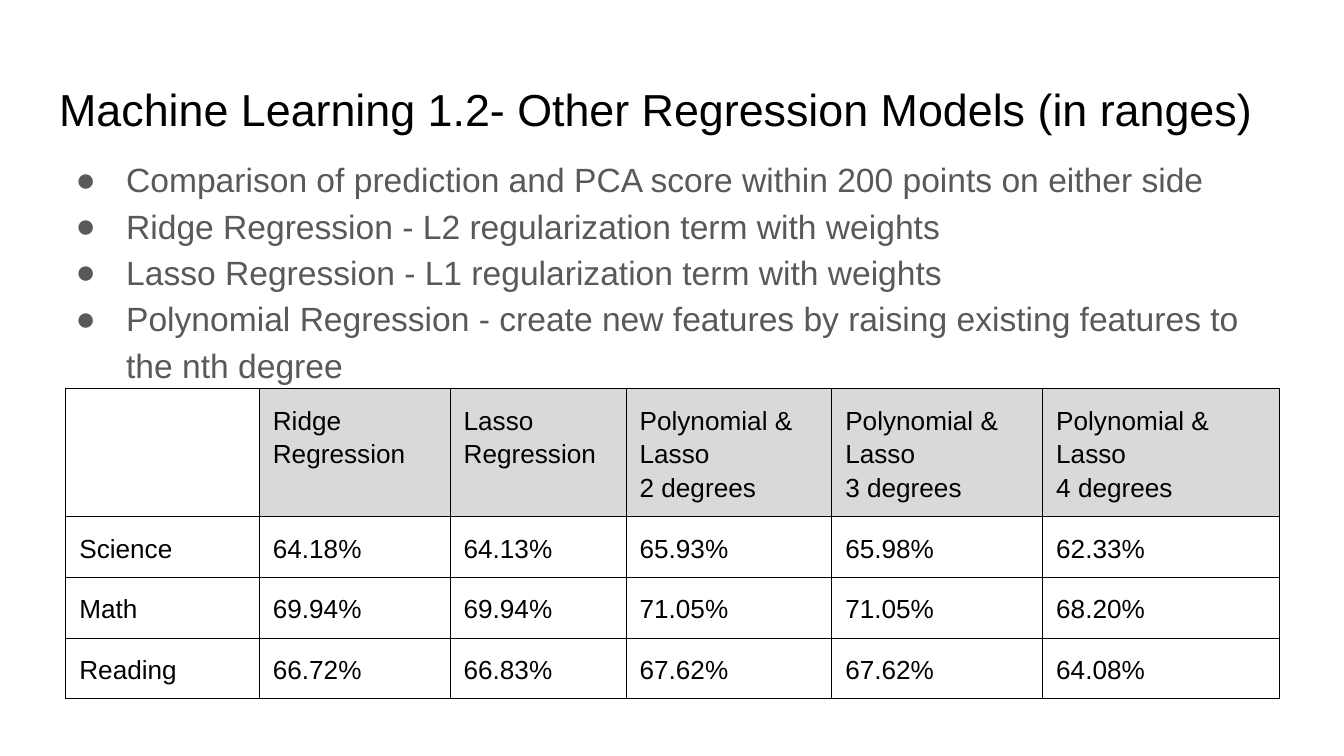
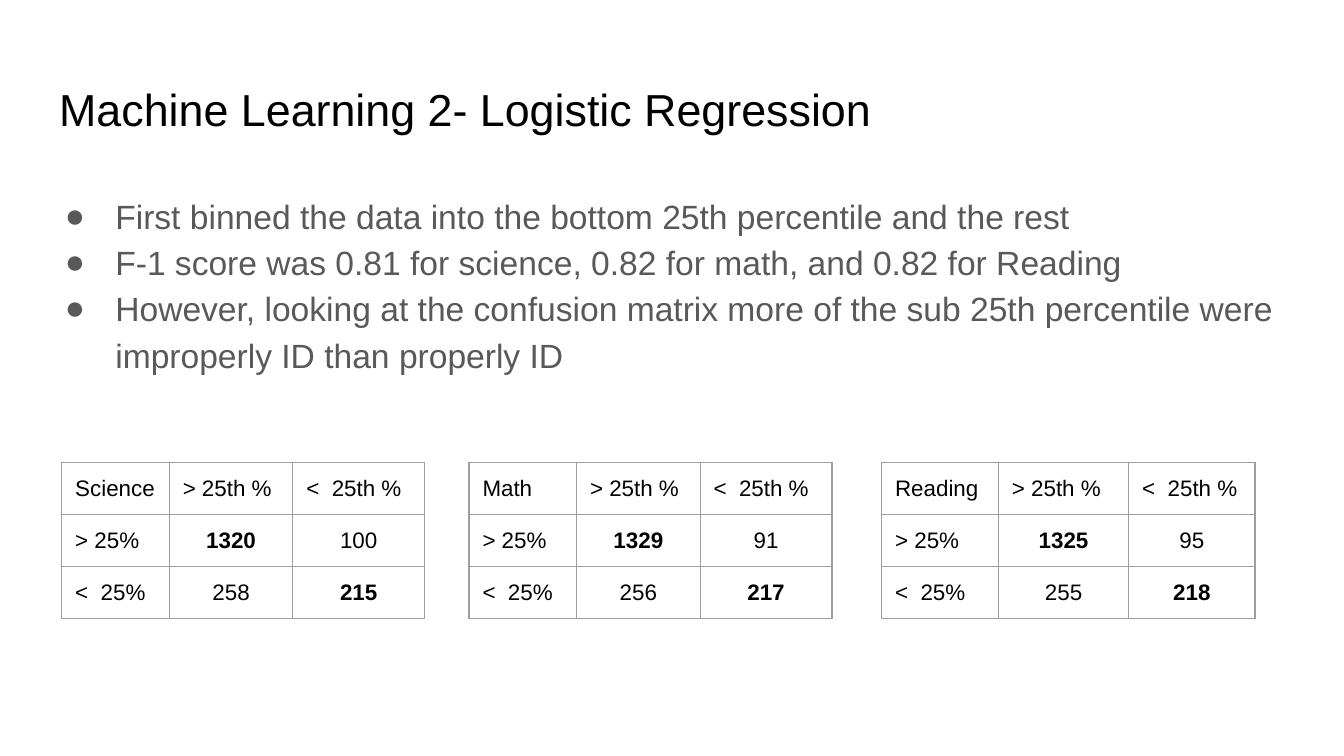
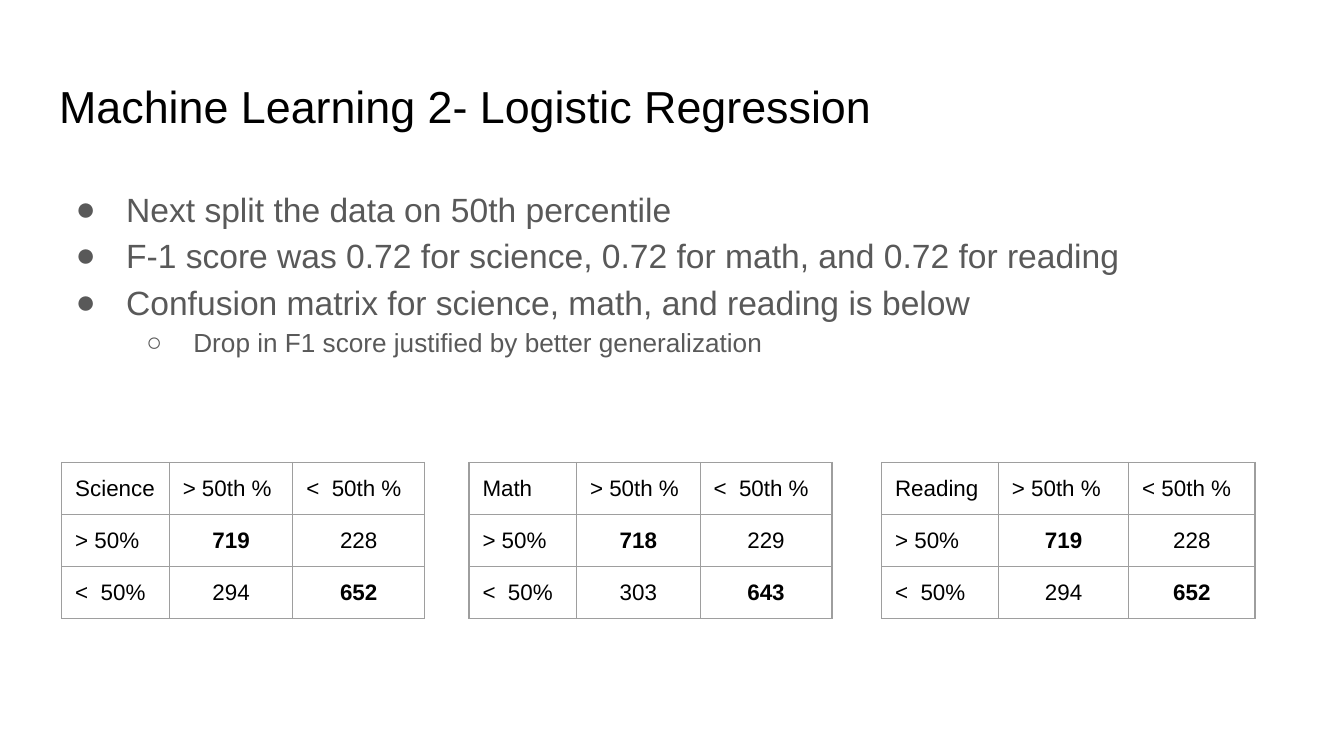
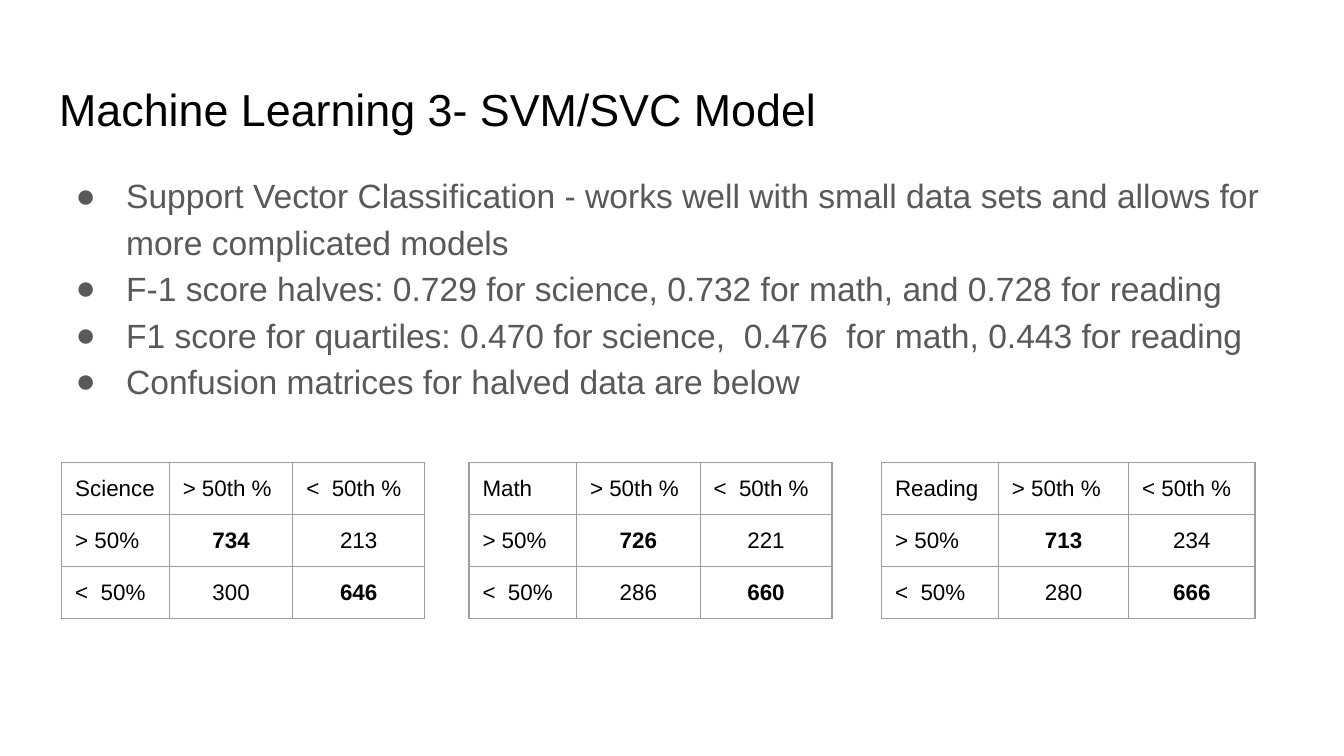
from lxml import etree
from pptx import Presentation
from pptx.dml.color import RGBColor
from pptx.enum.text import MSO_ANCHOR, MSO_AUTO_SIZE, PP_ALIGN
from pptx.oxml.ns import qn
from pptx.util import Pt

LEFT, CENTER = PP_ALIGN.LEFT, PP_ALIGN.CENTER
TOP, MIDDLE = MSO_ANCHOR.TOP, MSO_ANCHOR.MIDDLE
NO_AUTOFIT = MSO_AUTO_SIZE.NONE

COLORS = {
    "black": "000000",
    "body": "595959",
    "header": "D9D9D9",
    "grid": "9E9E9E",
}
FONT = "Arial"
INSET = 7.2
TITLE_ONLY = 5

# Bullet character, left margin, hanging indent and text size for each level
BULLETS = [("●", 36, 27, 18), ("○", 72, 25.2, 14)]

MODEL_COLUMNS = [103.7, 102.2, 94.3, 110.2, 113, 126.7]
MODEL_ROWS = [68.4, 31.7, 31.7, 31.7]
MODEL_CELLS = [
    ["", "Ridge Regression", "Lasso Regression", "Polynomial & Lasso\n2 degrees",
     "Polynomial & Lasso\n3 degrees", "Polynomial &\nLasso\n4 degrees"],
    ["Science", "64.18%", "64.13%", "65.93%", "65.98%", "62.33%"],
    ["Math", "69.94%", "69.94%", "71.05%", "71.05%", "68.20%"],
    ["Reading", "66.72%", "66.83%", "67.62%", "67.62%", "64.08%"],
]

MATRIX_TOP = 247.7
MATRIX_ROWS = [27.4] * 3
# Subject, left edge and column widths of each confusion matrix
MATRICES = [
    ("Science", 33.1, [57.6, 66.2, 70.6]),
    ("Math", 251.3, [57.6, 66.2, 70.6]),
    ("Reading", 472.3, [62.6, 69.8, 67.7]),
]

MATRIX_SLIDES = [
    {
        "title": "Machine Learning 2- Logistic Regression",
        "title_top": 35.3,
        "body_box": (18.7, 94.3, 671, 112.3),
        "bullets": [
            (0, "First binned the data into the bottom 25th percentile and the rest"),
            (0, "F-1 score was 0.81 for science, 0.82 for math, and 0.82 for Reading"),
            (0, "However, looking at the confusion matrix more of the sub 25th percentile "
                "were improperly ID than properly ID"),
        ],
        "threshold": 25,
        "counts": [(1320, 100, 258, 215), (1329, 91, 256, 217), (1325, 95, 255, 218)],
    },
    {
        "title": "Machine Learning 2- Logistic Regression",
        "title_top": 33.8,
        "body_box": (24.5, 90.7, 671, 114.5),
        "bullets": [
            (0, "Next split the data on 50th percentile"),
            (0, "F-1 score was 0.72 for science, 0.72 for math, and 0.72 for reading"),
            (0, "Confusion matrix for science, math, and reading is below"),
            (1, "Drop in F1 score justified by better generalization"),
        ],
        "threshold": 50,
        "counts": [(719, 228, 294, 652), (718, 229, 303, 643), (719, 228, 294, 652)],
    },
    {
        "title": "Machine Learning 3- SVM/SVC Model",
        "title_top": 35.3,
        "body_box": (24.5, 83.5, 671, 102.2),
        "bullets": [
            (0, "Support Vector Classification - works well with small data sets and "
                "allows for more complicated models"),
            (0, "F-1 score halves: 0.729 for science, 0.732 for math, and 0.728 for reading"),
            (0, "F1 score for quartiles: 0.470 for science,  0.476  for math, "
                "0.443 for reading"),
            (0, "Confusion matrices for halved data are below"),
        ],
        "threshold": 50,
        "counts": [(734, 213, 300, 646), (726, 221, 286, 660), (713, 234, 280, 666)],
    },
]


def write_text(paragraph, text, size=12, color="black", bold=False, align=LEFT,
               line_spacing=1.0):
    paragraph.alignment = align
    paragraph.line_spacing = line_spacing
    run = paragraph.add_run()
    run.text = text
    run.font.name = FONT
    run.font.size = Pt(size)
    run.font.bold = bold
    run.font.color.rgb = RGBColor.from_string(COLORS[color])


def prepare_frame(text_frame, anchor):
    text_frame.word_wrap = True
    text_frame.auto_size = NO_AUTOFIT
    text_frame.vertical_anchor = anchor
    text_frame.margin_left = text_frame.margin_right = Pt(INSET)
    text_frame.margin_top = text_frame.margin_bottom = Pt(INSET)


def add_titled_slide(presentation, title, top=35.3, width=671):
    slide = presentation.slides.add_slide(presentation.slide_layouts[TITLE_ONLY])
    shape = slide.shapes.title
    shape.left, shape.top = Pt(24.5), Pt(top)
    shape.width, shape.height = Pt(width), Pt(45.4)
    prepare_frame(shape.text_frame, MIDDLE)
    write_text(shape.text_frame.paragraphs[0], title, size=24)
    return slide


def set_bullet(paragraph, character, margin, hanging):
    properties = paragraph._p.get_or_add_pPr()
    properties.set("marL", str(Pt(margin)))
    properties.set("indent", str(-Pt(hanging)))
    bullet_color = etree.SubElement(properties, qn("a:buClr"))
    etree.SubElement(bullet_color, qn("a:srgbClr"), val=COLORS["body"])
    etree.SubElement(properties, qn("a:buFont"), typeface=FONT)
    etree.SubElement(properties, qn("a:buChar"), char=character)


def add_bullets(slide, box, bullets):
    text_frame = slide.shapes.add_textbox(*map(Pt, box)).text_frame
    prepare_frame(text_frame, TOP)
    for index, (level, text) in enumerate(bullets):
        paragraph = text_frame.add_paragraph() if index else text_frame.paragraphs[0]
        character, margin, hanging, size = BULLETS[level]
        paragraph.level = level
        write_text(paragraph, text, size=size, color="body", line_spacing=1.15)
        set_bullet(paragraph, character, margin, hanging)


def set_borders(cell, color, width):
    properties = cell._tc.get_or_add_tcPr()
    for index, side in enumerate(("lnL", "lnR", "lnT", "lnB")):
        line = etree.Element(qn(f"a:{side}"), w=str(Pt(width)))
        fill = etree.SubElement(line, qn("a:solidFill"))
        etree.SubElement(fill, qn("a:srgbClr"), val=COLORS[color])
        properties.insert(index, line)


def add_grid(slide, left, top, columns, rows, border, border_width):
    """Add an empty, unbanded table with the same border around every cell."""
    table = slide.shapes.add_table(len(rows), len(columns), Pt(left), Pt(top),
                                   Pt(sum(columns)), Pt(sum(rows))).table
    table.first_row = table.horz_banding = False
    for column, width in zip(table.columns, columns):
        column.width = Pt(width)
    for row, height in zip(table.rows, rows):
        row.height = Pt(height)
    for cell in table.iter_cells():
        cell.margin_left = cell.margin_right = Pt(INSET)
        cell.margin_top = cell.margin_bottom = Pt(INSET)
        cell.fill.background()
        set_borders(cell, border, border_width)
    return table


def add_model_table(slide, left, top):
    table = add_grid(slide, left, top, MODEL_COLUMNS, MODEL_ROWS, "black", 0.5)
    for row, texts in enumerate(MODEL_CELLS):
        for column, text in enumerate(texts):
            if not text:
                continue
            cell = table.cell(row, column)
            if row == 0:
                cell.fill.solid()
                cell.fill.fore_color.rgb = RGBColor.from_string(COLORS["header"])
            for index, line in enumerate(text.split("\n")):
                text_frame = cell.text_frame
                paragraph = text_frame.add_paragraph() if index else text_frame.paragraphs[0]
                write_text(paragraph, line, size=14, line_spacing=1.15)


def add_confusion_matrix(slide, left, top, columns, subject, threshold, counts):
    """Add a matrix whose correct counts, on the diagonal, are bold."""
    table = add_grid(slide, left, top, columns, MATRIX_ROWS, "grid", 0.75)
    gap = " " if subject == "Reading" and threshold == 50 else "  "
    cells = [
        [subject, f"> {threshold}th %", f"<{gap}{threshold}th %"],
        [f"> {threshold}%", *counts[:2]],
        [f"<  {threshold}%", *counts[2:]],
    ]
    for row, values in enumerate(cells):
        for column, value in enumerate(values):
            is_count = row > 0 and column > 0
            write_text(table.cell(row, column).text_frame.paragraphs[0], str(value),
                       bold=is_count and row == column,
                       align=CENTER if is_count else LEFT)


def build_model_slide(presentation):
    slide = add_titled_slide(
        presentation, "Machine Learning 1.2- Other Regression Models (in ranges)", width=680.4)
    add_bullets(slide, (24.5, 74.9, 671, 97.9), [
        (0, "Comparison of prediction and PCA score within 200 points on either side"),
        (0, "Ridge Regression - L2 regularization term with weights"),
        (0, "Lasso Regression - L1 regularization term with weights"),
        (0, "Polynomial Regression - create new features by raising existing features "
            "to the nth degree"),
    ])
    add_model_table(slide, 35.3, 208.1)


def build_matrix_slide(presentation, content):
    slide = add_titled_slide(presentation, content["title"], top=content["title_top"])
    add_bullets(slide, content["body_box"], content["bullets"])
    for (subject, left, columns), counts in zip(MATRICES, content["counts"]):
        add_confusion_matrix(slide, left, MATRIX_TOP, columns, subject,
                             content["threshold"], counts)


def main():
    presentation = Presentation()
    presentation.slide_width, presentation.slide_height = Pt(720), Pt(405)
    build_model_slide(presentation)
    for content in MATRIX_SLIDES:
        build_matrix_slide(presentation, content)
    presentation.save("out.pptx")


if __name__ == "__main__":
    main()
